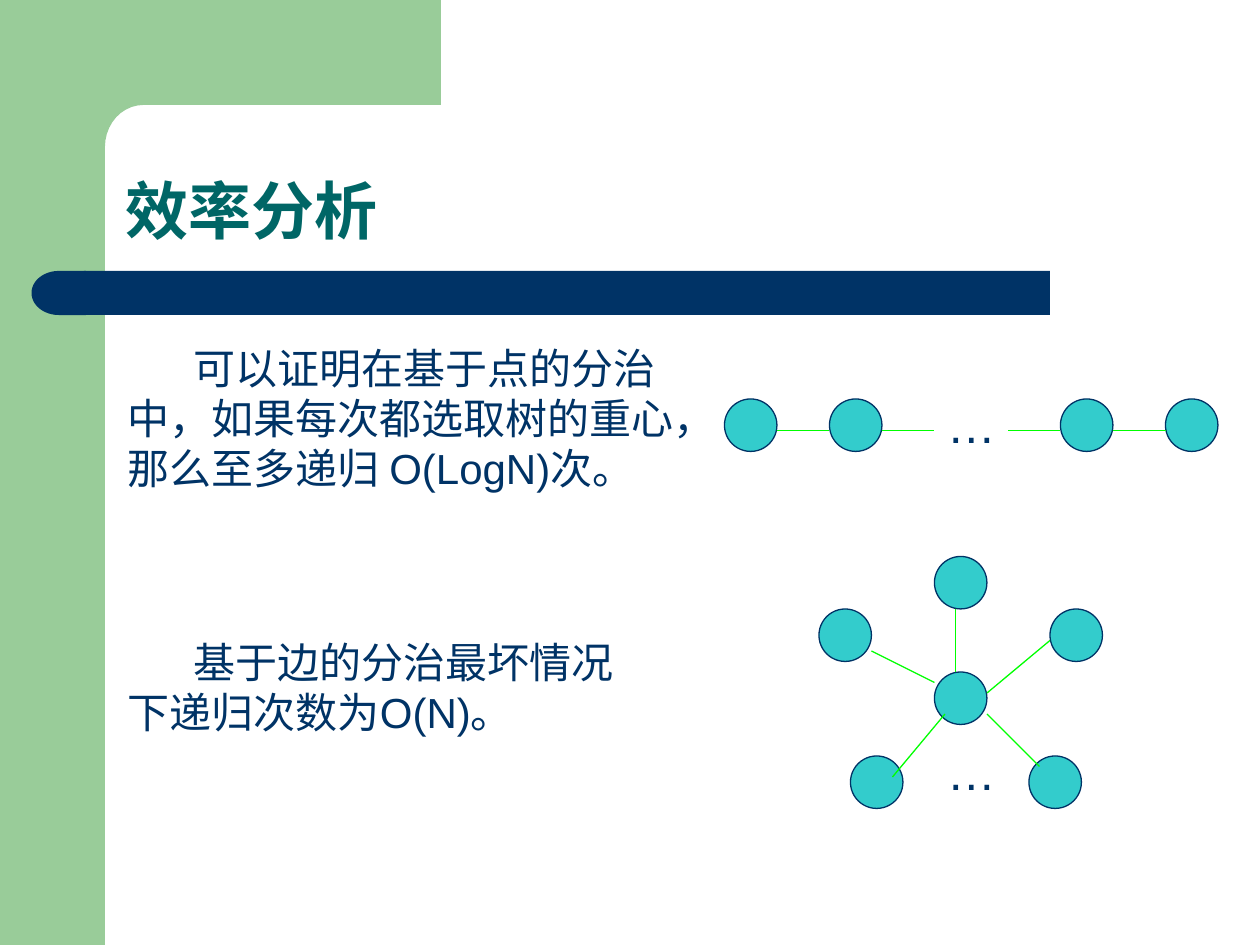
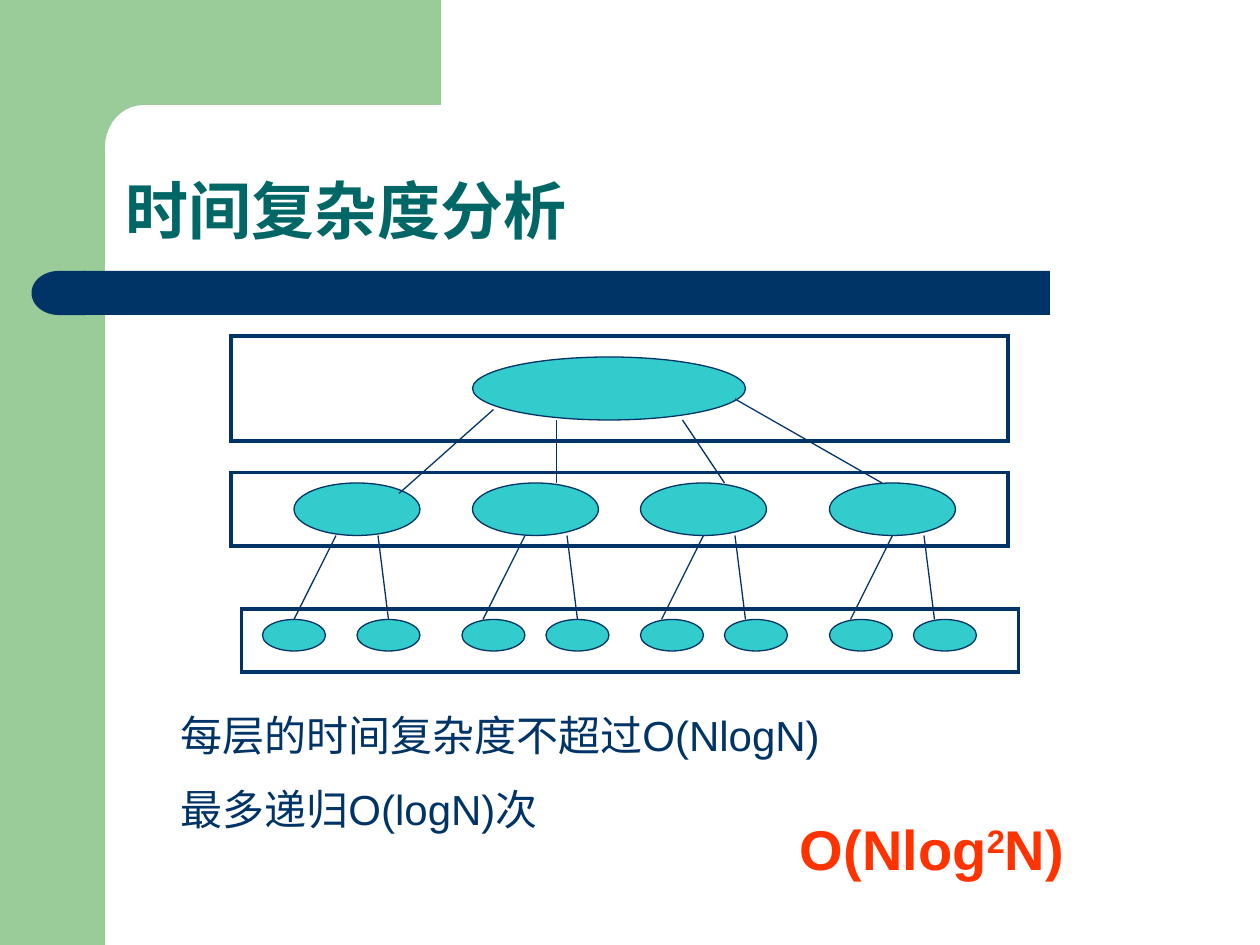
import math
import pptx
import pptx.util
import pptx.dml.color
import pptx.enum.shapes
import pptx.enum.text
import pptx.oxml.ns
import lxml.etree

Pt = pptx.util.Pt
qn = pptx.oxml.ns.qn
KIND = pptx.enum.shapes.MSO_SHAPE
COLOR = {"band": "99CC99", "navy": "003366", "title": "006666",
         "node": "33CCCC", "edge": "00FF00", "result": "FF3300"}
FACE = "Arial"
NODE = 30


def rgb(name):
    """Return the named colour."""
    return pptx.dml.color.RGBColor.from_string(COLOR[name])


def paint(shape, fill=None, line=None, width=0.75):
    """Set fill and sharp outline, and drop the shadow."""
    shape.shadow.inherit = False
    if fill:
        shape.fill.solid()
        shape.fill.fore_color.rgb = rgb(fill)
    else:
        shape.fill.background()
    if line:
        shape.line.color.rgb = rgb(line)
        shape.line.width = Pt(width)
        edge = shape._element.spPr.find(qn("a:ln"))
        lxml.etree.SubElement(edge, qn("a:miter"), lim="800000")
    else:
        shape.line.fill.background()


def draw(slide, kind, box, fill=None, line=None, width=0.75):
    """Add a preset shape in a box of points."""
    shape = slide.shapes.add_shape(kind, *map(Pt, box))
    paint(shape, fill, line, width)
    return shape


def oval(slide, *box):
    """Add a tree node."""
    draw(slide, KIND.OVAL, box, "node", "navy")


def link(slide, color, *ends):
    """Add a thin straight line."""
    line = slide.shapes.add_connector(
        pptx.enum.shapes.MSO_CONNECTOR.STRAIGHT, *map(Pt, ends))
    line.line.color.rgb = rgb(color)
    line.line.width = Pt(0.75)
    lxml.etree.SubElement(line._element.spPr, qn("a:effectLst"))


def style(para, size, color, bold=False):
    """Set the font of a paragraph."""
    font = para.font
    font.name, font.size, font.bold = FACE, Pt(size), bold
    font.color.rgb = rgb(color)


def write(slide, box, text, size=24, color="navy", bold=False, indent=0):
    """Add a wrapped paragraph and return it."""
    frame = slide.shapes.add_textbox(*map(Pt, box)).text_frame
    frame.word_wrap = True
    para = frame.paragraphs[0]
    para.text = text
    para.space_before = Pt(size * 0.625)
    style(para, size, color, bold)
    if indent:
        para._p.get_or_add_pPr().set("indent", str(Pt(indent)))
    return para


def dots(slide, left, top):
    """Add an ellipsis for the nodes left out."""
    write(slide, (left, top, 48, 41), "…", 28)


def corner(slide, left, top):
    """Draw the top band with its rounded inner corner."""
    turns = [math.radians(90 + 9 * step) for step in range(11)]
    curve = [(46 + 22 * math.cos(turn), 84 - 24 * math.sin(turn))
             for turn in turns]
    spots = [(216, 0), (216, 60), *curve, (24, 92), (0, 92), (0, 0)]
    spots = [(Pt(left + x), Pt(top + y)) for x, y in spots]
    form = slide.shapes.build_freeform(*spots[0])
    form.add_line_segments(spots[1:], close=True)
    paint(form.convert_to_shape(), "band")


def start(deck, text):
    """Add a slide with its bands and title."""
    slide = deck.slides.add_slide(deck.slide_layouts[5])
    draw(slide, KIND.RECTANGLE, (0, 0, 60, 540), "band")
    corner(slide, 36, 0)
    draw(slide, KIND.RECTANGLE, (48, 154.8, 552, 25.2), "navy")
    cap = draw(slide, KIND.FLOWCHART_DELAY, (18, 154.8, 31, 25.2), "navy")
    cap.rotation = 180
    title = slide.shapes.title
    title.left, title.top, title.width, title.height = map(
        Pt, (64.5, 64, 615, 81.5))
    frame = title.text_frame
    frame.text = text
    frame.auto_size = pptx.enum.text.MSO_AUTO_SIZE.NONE
    frame.vertical_anchor = pptx.enum.text.MSO_ANCHOR.BOTTOM
    para = frame.paragraphs[0]
    para.alignment = pptx.enum.text.PP_ALIGN.LEFT
    para.line_spacing = 0.9
    style(para, 36, "title", True)
    return slide


def chain(slide, left, top):
    """Draw the path of nodes."""
    for x in (0, 60, 192, 252):
        oval(slide, left + x, top + 6, NODE, NODE)
    for x in (30, 90, 162, 222):
        link(slide, "edge", left + x, top + 24, left + x + 30, top + 24)
    dots(slide, left + 120, top)


def star(slide, left, top):
    """Draw the hub and its five neighbours."""
    for x, y in ((66, 66), (0, 30), (66, 0), (132, 30), (18, 114), (120, 114)):
        oval(slide, left + x, top + y, NODE, NODE)
    for x, y, far, low in ((78.2, 30, 78.2, 66), (66, 72, 30, 54),
                           (96, 78, 132, 48), (72, 90, 42, 126),
                           (96, 90, 126, 120)):
        link(slide, "edge", left + x, top + y, left + far, top + low)
    dots(slide, left + 66, top + 102)


def tree(slide, left, top):
    """Draw the three levels of the recursion in their frames."""
    oval(slide, left + 138, top + 12, 156, 36)
    kids = (36, 138, 234, 342)
    for x in kids:
        oval(slide, left + x, top + 84, 72, 30)
    for x in (18, 72, 132, 180, 234, 282, 342, 390):
        oval(slide, left + x, top + 162, 36, 18)
    for x, y, far, low in ((150, 42, 96, 90), (186, 48, 186, 84),
                           (258, 48, 282, 84), (288, 36, 372, 84)):
        link(slide, "navy", left + x, top + y, left + far, top + low)
    for kid, near, far in zip(kids, (24, 30, 36, 36), (48, 54, 54, 54)):
        for x, shift in ((near, -24), (far, 6)):
            x += left + kid
            link(slide, "navy", x, top + 114, x + shift, top + 162)
    for x, y, high in ((0, 0, 60), (0, 78, 42), (6, 156, 36)):
        draw(slide, KIND.RECTANGLE, (left + x, top + y, 444, high),
             line="navy", width=2)


def result(slide, box):
    """Write the total cost with its raised exponent."""
    para = write(slide, box, "O(Nlog", 32, "result", True)
    power = para.add_run()
    power.text = "2"
    power._r.get_or_add_rPr().set("baseline", "30000")
    para.add_run().text = "N)"


def depth(deck):
    """Build the slide on recursion depth."""
    slide = start(deck, "效率分析")
    write(slide, (66, 192, 360, 94),
          "可以证明在基于点的分治\v中，如果每次都选取树的重心，那么至多递归 O(LogN)次。",
          indent=37.5)
    chain(slide, 414, 222)
    write(slide, (66, 360, 300, 65),
          "基于边的分治最坏情况下递归次数为O(N)。", indent=37.5)
    star(slide, 468, 318)


def cost(deck):
    """Build the slide on total time."""
    slide = start(deck, "时间复杂度分析")
    tree(slide, 132, 192)
    write(slide, (96, 402, 564, 36), "每层的时间复杂度不超过O(NlogN)")
    write(slide, (96, 444, 594, 36), "最多递归O(logN)次")
    result(slide, (450, 462, 270, 46))


def main():
    """Build and save the deck."""
    deck = pptx.Presentation()
    deck.slide_width, deck.slide_height = Pt(720), Pt(540)
    depth(deck)
    cost(deck)
    deck.save("out.pptx")


if __name__ == "__main__":
    main()
